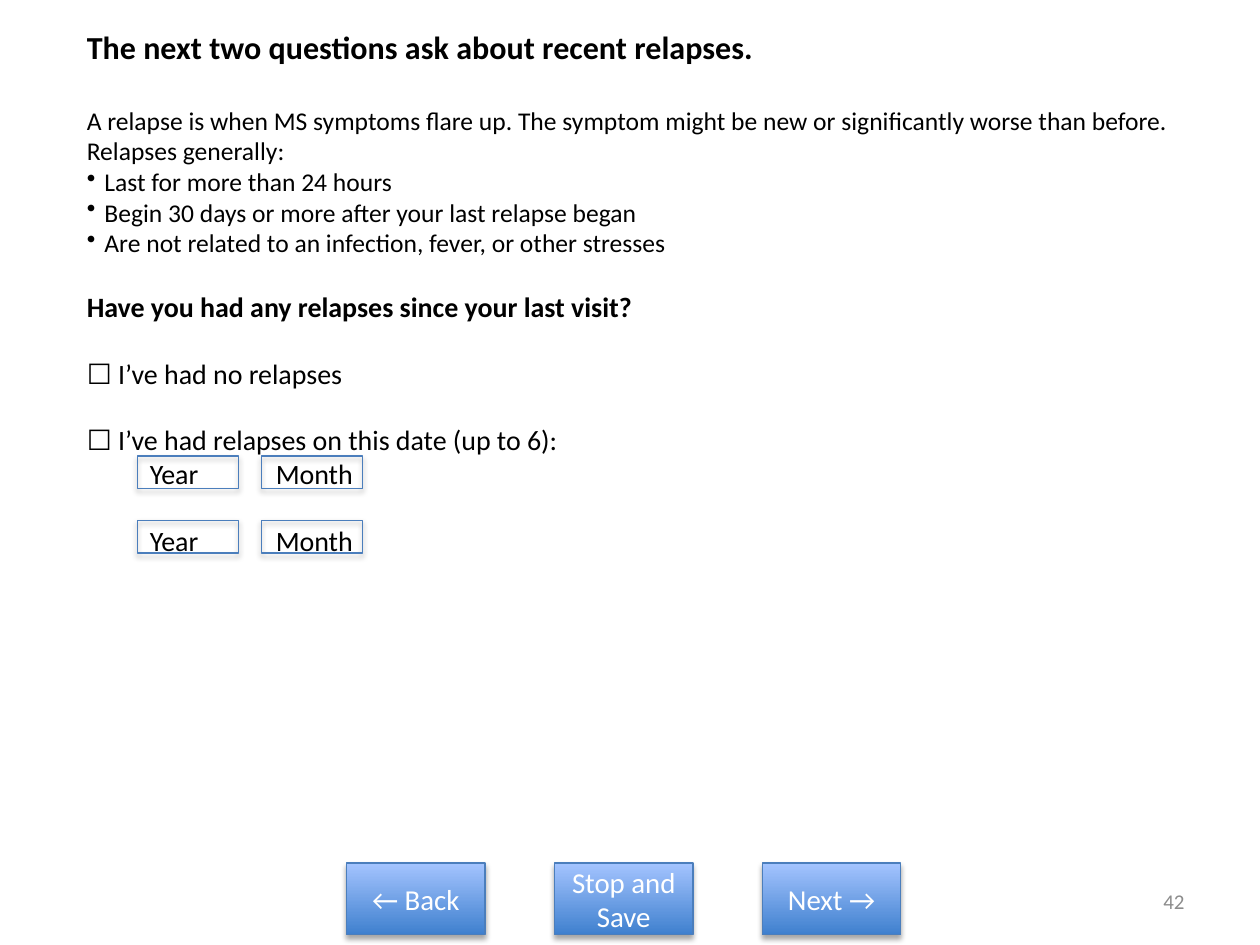
from lxml.etree import SubElement
from pptx import Presentation
from pptx.dml.color import RGBColor
from pptx.enum.shapes import MSO_SHAPE
from pptx.enum.text import MSO_ANCHOR, PP_ALIGN
from pptx.oxml.ns import qn
from pptx.util import Inches, Pt

WIDE, HIGH = 10, 7.5
COLS, ROWS = 100, 75
LINE = "4B7EBC"
HEAD = {"size": Pt(18.3), "bold": True}
BODY = {"size": Pt(14.6), "bold": False}
ASK = {"size": Pt(16), "bold": True}
FORM = {"size": Pt(16), "bold": False}
LABEL = {"size": Pt(16.5)}
SMALL = {"size": Pt(12)}
LINES = [
    ("The next two questions ask about recent relapses.", HEAD, 0, ""),
    ("A relapse is when MS symptoms flare up. The symptom might be new or "
     "significantly worse than before. Relapses generally:", BODY, 22, ""),
    ("Last for more than 24 hours", BODY, 0, "dot"),
    ("Begin 30 days or more after your last relapse began", BODY, 0, "dot"),
    ("Are not related to an infection, fever, or other stresses", BODY, 0, "dot"),
    ("Have you had any relapses since your last visit?", ASK, 18, ""),
    ("☐ I’ve had no relapses", FORM, 19, ""),
    ("☐ I’ve had relapses on this date (up to 6):", FORM, 19, ""),
    ("\tYear\t\tMonth", FORM, 0, "tab"),
    ("\tYear\t\tMonth", FORM, 19, "tab"),
]


def paint(code):
    return RGBColor.from_string(code)


def place(box):
    x, y, w, h = box
    return (Inches(x * WIDE / COLS), Inches(y * HIGH / ROWS),
            Inches(w * WIDE / COLS), Inches(h * HIGH / ROWS))


def style(part, look):
    for name, value in look.items():
        setattr(part, name, value)


def write(para, text, look, code):
    para.add_run().text = text
    style(para.font, {"name": "Calibri", **look})
    para.font.color.rgb = paint(code)


def mark(para, kind):
    props = para._p.get_or_add_pPr()
    if kind == "dot":
        props.set("marL", str(Inches(0.14)))
        props.set("indent", str(-Inches(0.14)))
        SubElement(props, qn("a:buChar"), char="•")
    elif kind == "tab":
        stops = SubElement(props, qn("a:tabLst"))
        for step in (1, 2, 3):
            SubElement(stops, qn("a:tab"), pos=str(Inches(step / 2)), algn="l")


def frame(slide, box, anchor):
    text = slide.shapes.add_textbox(*place(box)).text_frame
    style(text, {"word_wrap": True, "vertical_anchor": anchor})
    return text


def panel(slide, box):
    shape = slide.shapes.add_shape(MSO_SHAPE.RECTANGLE, *place(box))
    shape.fill.background()
    shape.line.color.rgb = paint(LINE)
    shape.line.width = Pt(0.75)
    shape.shadow.inherit = False
    glow = SubElement(shape.element.spPr.find(qn("a:effectLst")),
                      qn("a:outerShdw"), blurRad=str(Pt(3.1)),
                      dist=str(Pt(1.8)), dir="5400000", rotWithShape="0")
    tint = SubElement(glow, qn("a:srgbClr"), val="000000")
    SubElement(tint, qn("a:alpha"), val="35000")
    return shape


def survey(slide, box):
    text = frame(slide, box, MSO_ANCHOR.TOP)
    for i, (words, look, gap, kind) in enumerate(LINES):
        para = text.add_paragraph() if i else text.paragraphs[0]
        if gap:
            para.space_before = Pt(gap)
        mark(para, kind)
        write(para, words, look, "000000")


def button(slide, box, words):
    shape = panel(slide, box)
    shape.fill.gradient()
    shape.fill.gradient_angle = 90
    for stop, code in zip(shape.fill.gradient_stops, ("3F80CE", "A4C4FF")):
        stop.color.rgb = paint(code)
        stop.position = float(code == "A4C4FF")
    text = shape.text_frame
    style(text, {"word_wrap": True, "vertical_anchor": MSO_ANCHOR.MIDDLE})
    text.paragraphs[0].alignment = PP_ALIGN.CENTER
    write(text.paragraphs[0], words, LABEL, "FFFFFF")


def buttons(slide, box):
    x, y, w, h = box
    wide = w / 4
    step = (w - wide) / 2
    for i, words in enumerate(("← Back", "Stop and Save", "Next →")):
        button(slide, (x + i * step, y, wide, h), words)


def number(slide, box):
    para = frame(slide, box, MSO_ANCHOR.MIDDLE).paragraphs[0]
    para.alignment = PP_ALIGN.RIGHT
    write(para, "42", SMALL, "8C8C8C")


def fields(slide, box):
    x, y, w, h = box
    wide, high = w * 0.45, h / 3
    for row in range(2):
        for col in range(2):
            panel(slide, (x + col * (w - wide), y + row * (h - high), wide, high))


def main():
    deck = Presentation()
    style(deck, {"slide_width": Inches(WIDE), "slide_height": Inches(HIGH)})
    slide = deck.slides.add_slide(deck.slide_layouts[6])
    survey(slide, (5.9, 1.7, 90.5, 53))
    buttons(slide, (27.5, 68.5, 44, 5.7))
    number(slide, (71.7, 69.5, 23.3, 4))
    fields(slide, (10.9, 36.2, 17.9, 7.7))
    deck.save("out.pptx")


if __name__ == "__main__":
    main()
